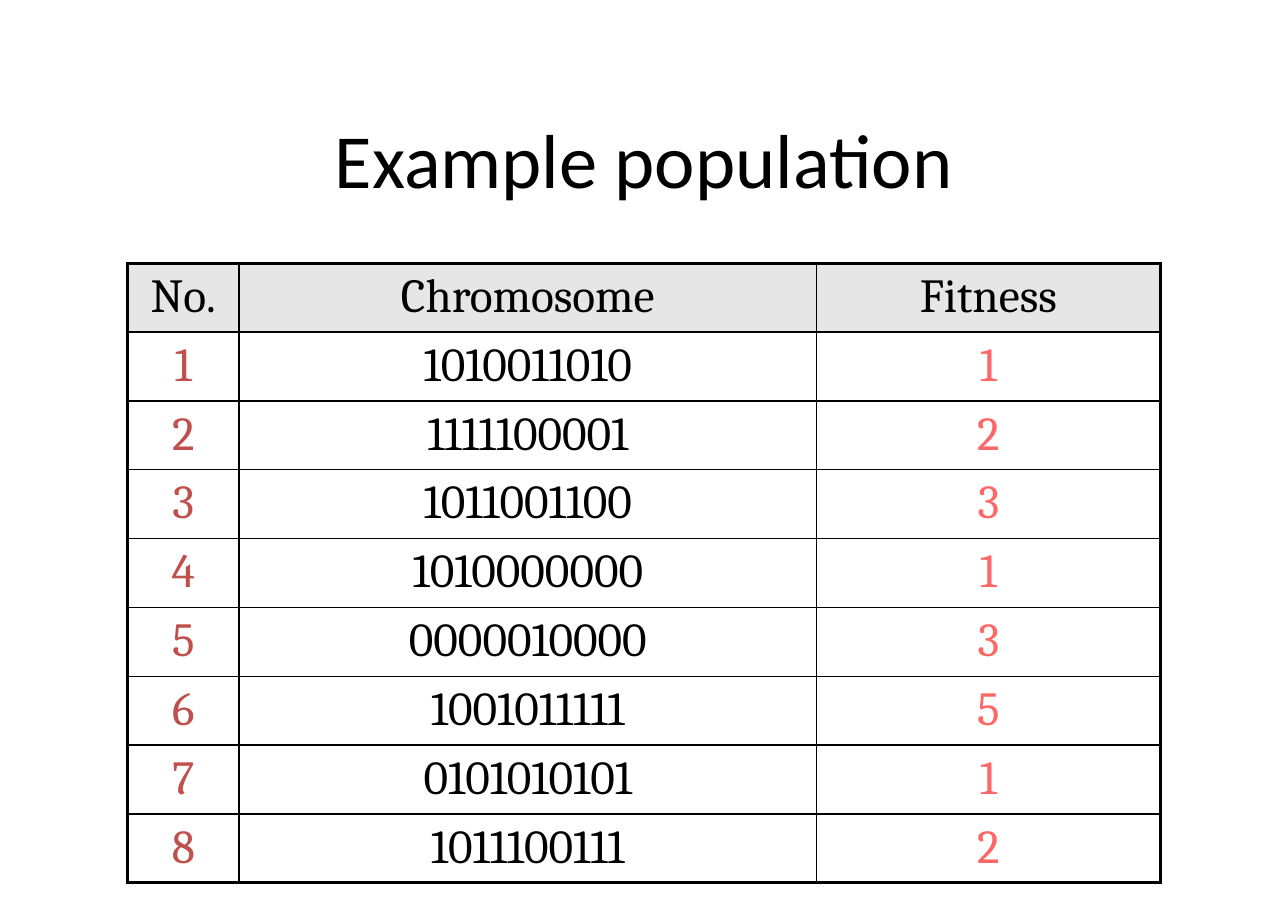
from dataclasses import dataclass

from lxml import etree
from pptx import Presentation
from pptx.dml.color import RGBColor
from pptx.enum.text import MSO_ANCHOR, MSO_AUTO_SIZE, PP_ALIGN
from pptx.oxml.ns import qn
from pptx.util import Inches, Pt

CENTER = PP_ALIGN.CENTER
MIDDLE = MSO_ANCHOR.MIDDLE
TOP = MSO_ANCHOR.TOP
NO_FIT = MSO_AUTO_SIZE.NONE
TITLE_ONLY = 5


@dataclass(frozen=True)
class Theme:
    ink: str = "000000"
    number: str = "C0504D"
    fitness: str = "FF6666"
    header: str = "E6E6E6"
    title_font: str = "Calibri"
    table_font: str = "Cambria"
    title_size: float = 50
    table_size: float = 31
    thin: float = 1
    thick: float = 2.25
    side_margin: float = 0.11
    end_margin: float = 0.06


class Page:
    def __init__(self, deck, theme):
        self.width, self.height = deck.slide_width, deck.slide_height
        self.theme = theme
        self.slide = deck.slides.add_slide(deck.slide_layouts[TITLE_ONLY])

    def area(self, left, top, width, height):
        return (round(left * self.width / 100), round(top * self.height / 100),
                round(width * self.width / 100), round(height * self.height / 100))

    def set_margins(self, holder):
        holder.margin_left = holder.margin_right = Inches(self.theme.side_margin)
        holder.margin_top = holder.margin_bottom = Inches(self.theme.end_margin)

    def add_text(self, frame, text, font, size, color):
        para = frame.paragraphs[0]
        para.alignment = CENTER
        span = para.add_run()
        span.text = text
        span.font.name = font
        span.font.size = Pt(size)
        span.font.color.rgb = RGBColor.from_string(color)

    def title(self, text, area):
        box = self.slide.shapes.title
        box.left, box.top, box.width, box.height = self.area(*area)
        frame = box.text_frame
        frame.auto_size = NO_FIT
        frame.word_wrap = True
        frame.vertical_anchor = MIDDLE
        self.set_margins(frame)
        self.add_text(frame, text, self.theme.title_font, self.theme.title_size, self.theme.ink)

    def border(self, cell, outer_sides):
        properties = cell._tc.get_or_add_tcPr()
        for side in "LRTB":
            weight = self.theme.thick if side in outer_sides else self.theme.thin
            line = etree.SubElement(properties, qn(f"a:ln{side}"), w=str(Pt(weight)))
            fill = etree.SubElement(line, qn("a:solidFill"))
            etree.SubElement(fill, qn("a:srgbClr"), val=self.theme.ink)

    def table(self, rows, column_shares, column_colors, area):
        left, top, width, height = self.area(*area)
        last_row, last_column = len(rows) - 1, len(column_shares) - 1
        frame = self.slide.shapes.add_table(
            len(rows), len(column_shares), left, top, width, height)
        table = frame.table
        table.first_row = table.horz_banding = False
        for column, share in zip(table.columns, column_shares):
            column.width = round(width * share / 100)
        for row in table.rows:
            row.height = round(height / len(rows))
        for row_index, values in enumerate(rows):
            is_header = row_index == 0
            for column_index, text in enumerate(values):
                cell = table.cell(row_index, column_index)
                edges = {"L": column_index == 0, "R": column_index == last_column,
                         "T": is_header, "B": row_index == last_row}
                self.border(cell, [side for side, outer in edges.items() if outer])
                if is_header:
                    cell.fill.solid()
                    cell.fill.fore_color.rgb = RGBColor.from_string(self.theme.header)
                else:
                    cell.fill.background()
                cell.vertical_anchor = TOP
                self.set_margins(cell)
                color = self.theme.ink if is_header else column_colors[column_index]
                self.add_text(cell.text_frame, text, self.theme.table_font,
                              self.theme.table_size, color)


POPULATION = [
    ("1010011010", 1),
    ("1111100001", 2),
    ("1011001100", 3),
    ("1010000000", 1),
    ("0000010000", 3),
    ("1001011111", 5),
    ("0101010101", 1),
    ("1011100111", 2),
]

deck = Presentation()
deck.slide_width, deck.slide_height = Inches(11.69), Inches(8.27)
theme = Theme()
page = Page(deck, theme)
page.title("Example population", (7.5, 9, 85, 16.7))
rows = [("No.", "Chromosome", "Fitness")]
rows += [(str(number), chromosome, str(fitness))
         for number, (chromosome, fitness) in enumerate(POPULATION, 1)]
page.table(rows, (10.8, 55.9, 33.3),
           (theme.number, theme.ink, theme.fitness), (9.9, 28.9, 80.2, 68))
deck.save("out.pptx")
